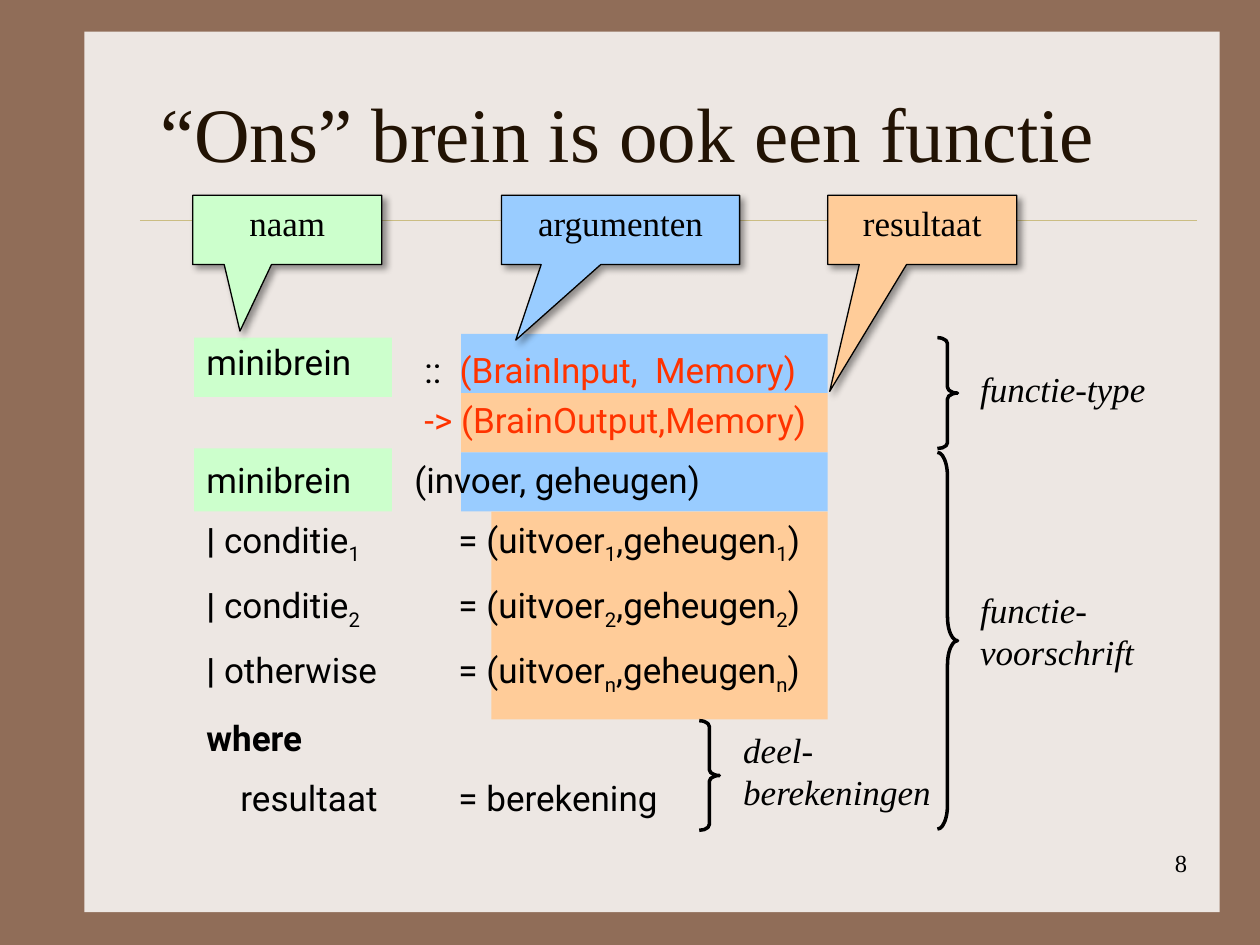
import pptx
import pptx.util
import pptx.dml.color
import pptx.enum.shapes
import pptx.enum.text
import pptx.oxml
import pptx.oxml.ns

Inches, Pt = pptx.util.Inches, pptx.util.Pt
SHAPE = pptx.enum.shapes.MSO_SHAPE
ALIGN = pptx.enum.text.PP_ALIGN
ANCHOR = pptx.enum.text.MSO_ANCHOR
NS = pptx.oxml.ns.nsdecls("a")

COLORS = {"frame": "906D58", "paper": "EDE7E3", "rule": "CBBD83", "title": "221304",
          "ink": "000000", "type": "FF3300",
          "name": "CCFFCC", "arguments": "99CCFF", "result": "FFCC99"}
SERIF, SANS = "Times New Roman", "Roboto"

TITLE = "“Ons” brein is ook een functie"
PAGE_NUMBER = "8"

NAME_LEFT, ARGS_LEFT, RESULT_LEFT, BANDS_RIGHT = 1.54, 3.66, 3.9, 6.57
# role, left, top, right, bottom
BANDS = [
    ("arguments", ARGS_LEFT, 2.65, BANDS_RIGHT, 3.12),
    ("result", ARGS_LEFT, 3.12, BANDS_RIGHT, 3.59),
    ("arguments", ARGS_LEFT, 3.59, BANDS_RIGHT, 4.06),
    ("result", RESULT_LEFT, 4.06, BANDS_RIGHT, 4.61),
    ("result", RESULT_LEFT, 4.61, BANDS_RIGHT, 5.16),
    ("result", RESULT_LEFT, 5.16, BANDS_RIGHT, 5.71),
    ("name", NAME_LEFT, 2.68, 3.11, 3.15),
    ("name", NAME_LEFT, 3.56, 3.11, 4.06),
]
# text, role, left, width, tail tip as a share of the box from its centre
CALLOUTS = [
    ("naam", "name", 1.53, 1.5, (-0.25, 1.46)),
    ("argumenten", "arguments", 3.98, 1.89, (-0.44, 1.59)),
    ("resultaat", "result", 6.57, 1.5, (-0.49, 2.33)),
]
# brace left, top, height, curl, then label lines, label box, label anchor
BRACES = [
    (7.44, 2.68, 0.88, 0.29, ["functie-type"], (7.68, 2.87, 1.65, 0.43), ANCHOR.TOP),
    (7.44, 3.59, 2.99, 1.2, ["functie-", "voorschrift"], (7.68, 4.62, 1.65, 0.77), ANCHOR.TOP),
    (5.55, 5.72, 0.87, 0.29, ["deel-berekeningen"], (5.8, 5.73, 1.72, 0.77), ANCHOR.MIDDLE),
]


def guard(condition, index):
    """Runs of one guarded line; an index is set as subscript."""
    return [("|", "bold"), (f" {condition[0]}", ""), (condition[1], "sub"),
            ("\t= (uitvoer", ""), (index, "sub"), (",geheugen", ""), (index, "sub"), (")", "")]


# box, distance between tab stops, line spacing, paragraphs as (first-line indent, runs)
CODE = [
    ((NAME_LEFT, 2.65, 1.57, 0.44), 1, 1, [(0, [("minibrein", "")])]),
    ((3.27, 2.65, 3.62, 0.91), 0.28, 1.2,
     [(0, [("::\t", ""), ("(BrainInput,  Memory)\v-> (BrainOutput,Memory)", "type")])]),
    ((NAME_LEFT, 3.59, 1.57, 0.44), 1, 1, [(0, [("minibrein", "")])]),
    ((NAME_LEFT, 3.59, 5.35, 1.95), 1, 1,
     [(1.65, [("(invoer, geheugen)", "")]),
      (0, guard(("conditie", "1"), "1")),
      (0, guard(("conditie", "2"), "2")),
      (0, guard(("otherwise", ""), "n"))]),
    ((NAME_LEFT, 5.64, 4.17, 0.94), 1, 1,
     [(0, [("where", "bold")]), (0.27, [("resultaat\t= berekening", "")])]),
]


def rgb(role):
    return pptx.dml.color.RGBColor.from_string(COLORS[role])


def add_run(paragraph, text, font=SERIF, size=20, color="ink", bold=False, italic=False):
    """Add text, with a line break at each vertical tab; return the last run."""
    for number, line in enumerate(text.split("\v")):
        if number:
            paragraph.add_line_break()
        run = paragraph.add_run()
        run.text = line
        run.font.name, run.font.size = font, Pt(size)
        run.font.bold, run.font.italic = bold, italic
        run.font.color.rgb = rgb(color)
    return run


def add_box(slide, box, anchor=ANCHOR.TOP):
    frame = slide.shapes.add_textbox(*map(Inches, box)).text_frame
    frame.word_wrap = True
    frame.vertical_anchor = anchor
    return frame


def paragraphs_of(frame, count):
    for _ in range(count - 1):
        frame.add_paragraph()
    return frame.paragraphs


def add_shape(slide, kind, box, fill=None, line_width=None):
    shape = slide.shapes.add_shape(kind, *map(Inches, box))
    shape.shadow.inherit = False
    if fill:
        shape.fill.solid()
        shape.fill.fore_color.rgb = rgb(fill)
    else:
        shape.fill.background()
    if line_width:
        shape.line.color.rgb = rgb("ink")
        shape.line.width = Pt(line_width)
    else:
        shape.line.fill.background()
    return shape


def add_backdrop(slide):
    slide.background.fill.solid()
    slide.background.fill.fore_color.rgb = rgb("frame")
    add_shape(slide, SHAPE.RECTANGLE, (0.67, 0.25, 9.01, 6.99), "paper")
    rule = slide.shapes.add_connector(pptx.enum.shapes.MSO_CONNECTOR.STRAIGHT,
                                      Inches(1.11), Inches(1.75), Inches(9.5), Inches(1.75))
    rule.line.color.rgb = rgb("rule")
    rule.line.width = Pt(0.25)
    rule._element.spPr.append(pptx.oxml.parse_xml(f"<a:effectLst {NS}/>"))


def add_title(slide):
    title = slide.shapes.title
    title.left, title.top, title.width, title.height = map(Inches, (1.17, 0.42, 8.33, 1.25))
    slide.shapes._spTree.append(title._element)  # in front of the backdrop
    title.text_frame.vertical_anchor = ANCHOR.MIDDLE
    paragraph = title.text_frame.paragraphs[0]
    paragraph.alignment = ALIGN.LEFT
    add_run(paragraph, TITLE, size=44, color="title")


def add_callout(slide, text, role, left, width, tip):
    callout = add_shape(slide, SHAPE.RECTANGULAR_CALLOUT, (left, 1.55, width, 0.55), role, 0.75)
    callout.adjustments[0], callout.adjustments[1] = tip
    effects = callout._element.spPr.find(pptx.oxml.ns.qn("a:effectLst"))
    effects.append(pptx.oxml.parse_xml(
        f'<a:outerShdw {NS} blurRad="{Pt(4)}" dist="{Pt(3)}" dir="{45 * 60000}">'
        f'<a:srgbClr val="{COLORS["ink"]}"><a:alpha val="40000"/></a:srgbClr></a:outerShdw>'))
    callout.text_frame.vertical_anchor = ANCHOR.TOP
    paragraph = callout.text_frame.paragraphs[0]
    paragraph.alignment = ALIGN.CENTER
    add_run(paragraph, text)


def add_brace(slide, left, top, height, curl, lines, label_box, anchor):
    brace = add_shape(slide, SHAPE.RIGHT_BRACE, (left, top, 0.16, height), line_width=2)
    brace.adjustments[0], brace.adjustments[1] = curl, 0.5
    label = add_box(slide, label_box, anchor)
    for paragraph, line in zip(paragraphs_of(label, len(lines)), lines):
        add_run(paragraph, line, italic=True)


def add_code(slide, box, tab, line_spacing, lines):
    frame = add_box(slide, box)
    for number, (paragraph, (indent, runs)) in enumerate(zip(paragraphs_of(frame, len(lines)), lines)):
        paragraph.line_spacing = line_spacing
        paragraph.space_before = Pt(10 if number else 0)
        properties = paragraph._p.get_or_add_pPr()
        properties.set("marL", "0")
        properties.set("indent", str(Inches(indent)))
        properties.set("defTabSz", str(Inches(tab)))
        for text, style in runs:
            if text:
                run = add_run(paragraph, text, SANS, bold=style == "bold",
                              color="type" if style == "type" else "ink")
                if style == "sub":
                    run._r.get_or_add_rPr().set("baseline", "-25000")


def main():
    deck = pptx.Presentation()
    deck.slide_width, deck.slide_height = Inches(10), Inches(7.5)
    slide = deck.slides.add_slide(deck.slide_layouts[5])
    add_backdrop(slide)
    add_title(slide)
    for role, left, top, right, bottom in BANDS:
        add_shape(slide, SHAPE.RECTANGLE, (left, top, right - left, bottom - top), role)
    for callout in CALLOUTS:
        add_callout(slide, *callout)
    for code in CODE:
        add_code(slide, *code)
    for brace in BRACES:
        add_brace(slide, *brace)
    page = add_box(slide, (7.44, 6.68, 2.08, 0.5)).paragraphs[0]
    page.alignment = ALIGN.RIGHT
    add_run(page, PAGE_NUMBER, size=14)
    deck.save("out.pptx")


if __name__ == "__main__":
    main()
